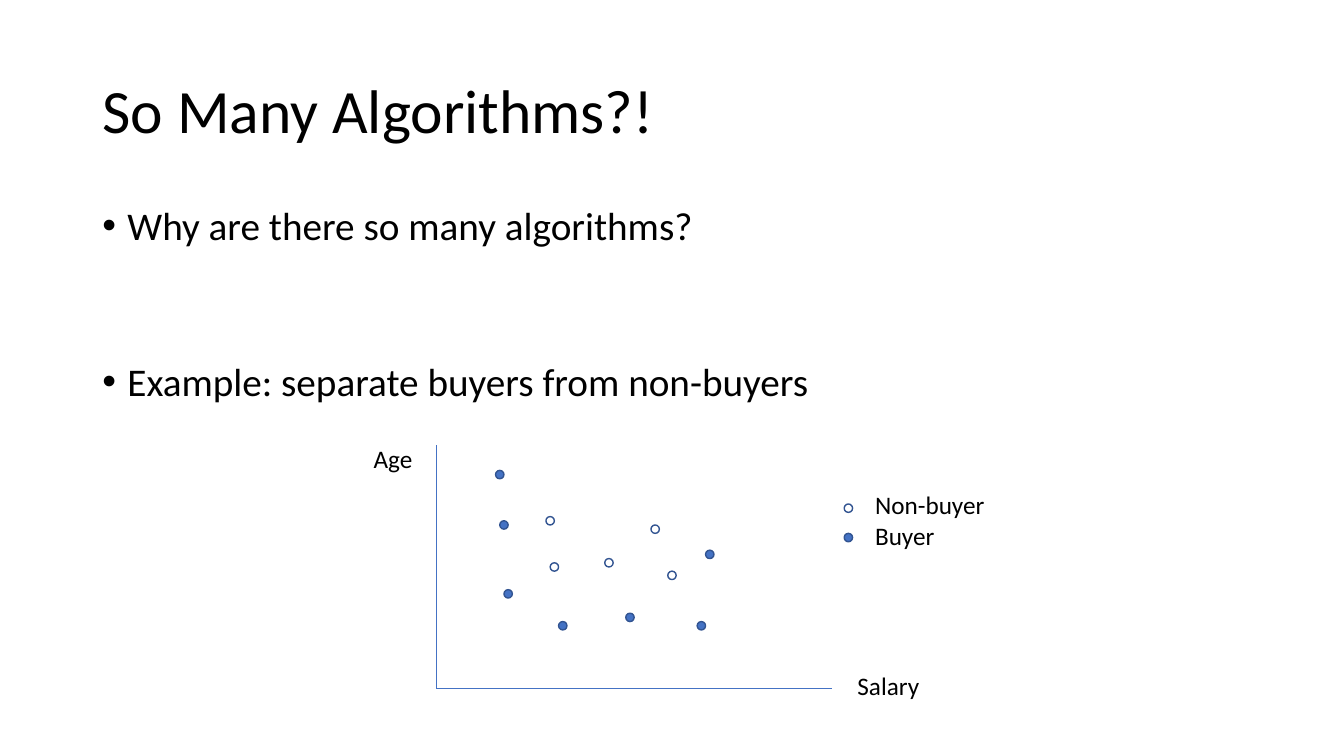
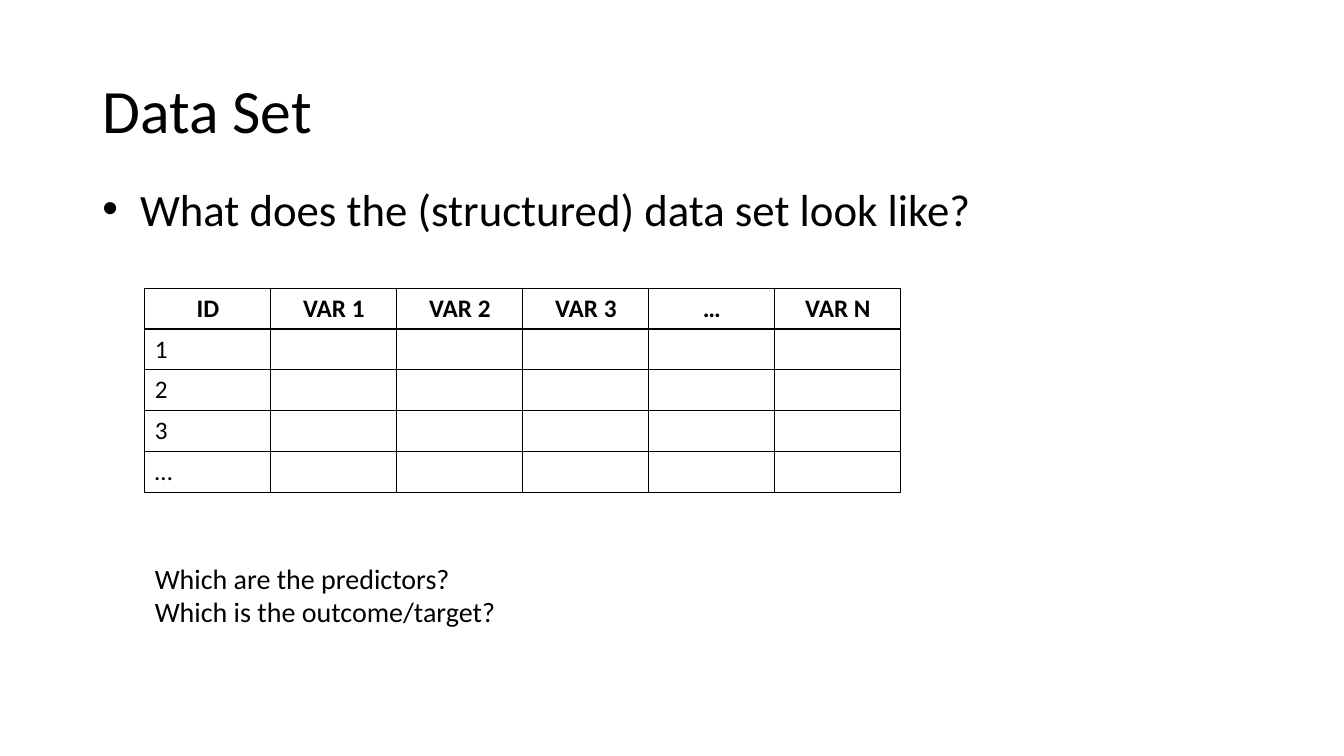
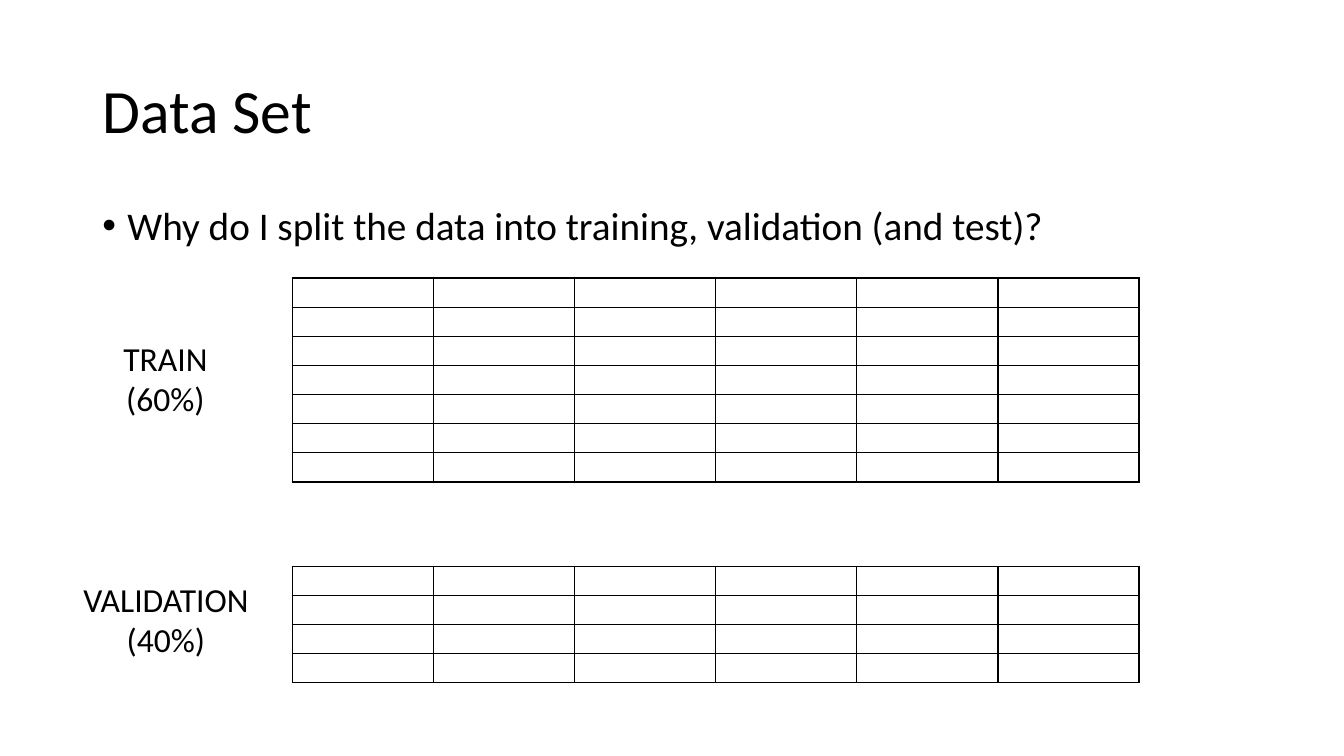
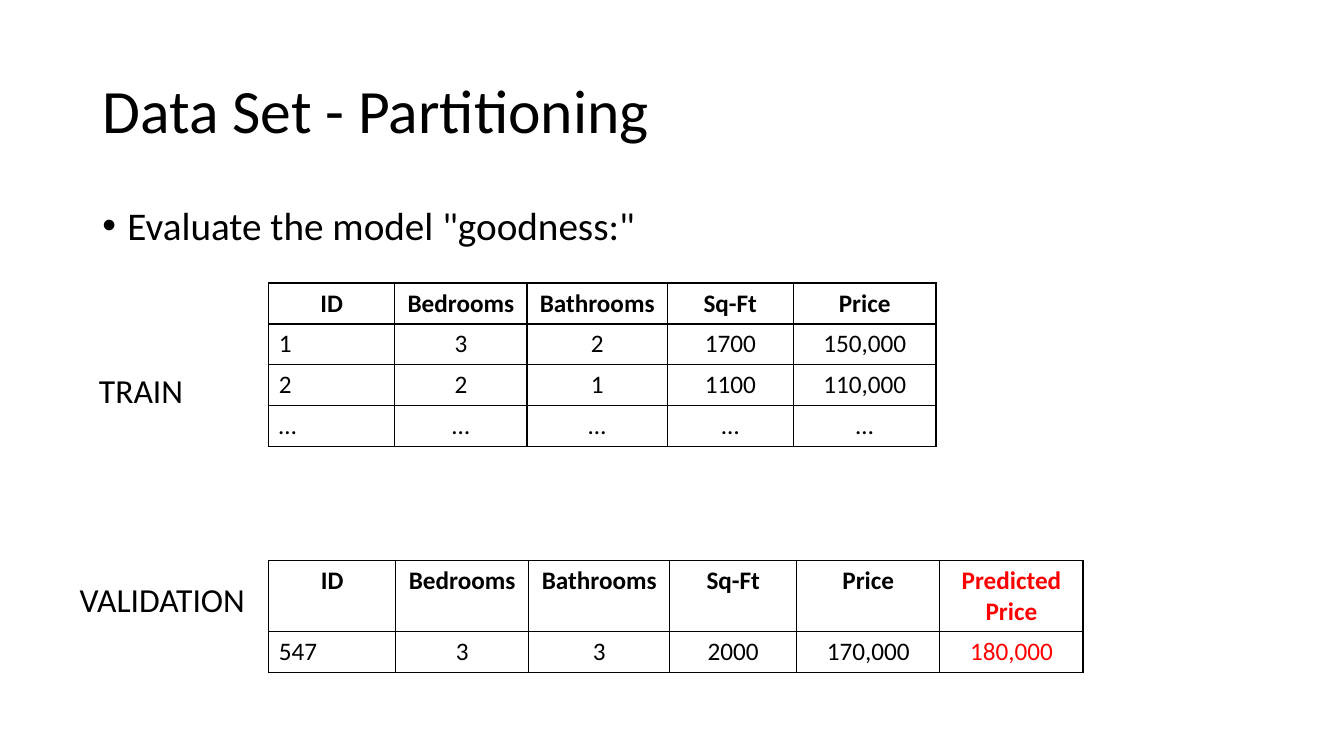
from dataclasses import dataclass

from lxml import etree
from pptx import Presentation
from pptx.dml.color import RGBColor
from pptx.enum.shapes import MSO_CONNECTOR, MSO_SHAPE
from pptx.enum.text import MSO_ANCHOR, MSO_AUTO_SIZE, PP_ALIGN
from pptx.oxml.ns import qn
from pptx.util import Emu, Inches, Pt

LEFT, CENTER = PP_ALIGN.LEFT, PP_ALIGN.CENTER
MIDDLE = MSO_ANCHOR.MIDDLE
NO_AUTOFIT = MSO_AUTO_SIZE.NONE
OVAL = MSO_SHAPE.OVAL
STRAIGHT = MSO_CONNECTOR.STRAIGHT

# The slide is a grid of 160 columns by 90 rows of square units.
COLUMNS, ROWS = 160, 90
UNIT = Inches(7.5) / ROWS

FONT = "Calibri"
BLACK, RED, BLUE, DARK_BLUE = "000000", "FF0000", "4472C4", "325491"
ROW = 4.87
SLIM_ROW = 3.47


@dataclass(frozen=True)
class Box:
    """A place on the grid, in columns and rows."""
    left: float
    top: float
    width: float
    height: float


@dataclass(frozen=True)
class Label:
    """A plain text with one paragraph per line."""
    lines: tuple[str, ...]
    box: Box
    size: float
    align: PP_ALIGN = LEFT


@dataclass(frozen=True)
class Bullet:
    """A bulleted paragraph; indent is in grid columns."""
    text: str
    size: float = 28
    indent: float = 3
    before: float = 10
    spacing: float = 0.9


@dataclass(frozen=True)
class Grid:
    """A bordered table; cells without text stay blank."""
    left: float
    top: float
    widths: tuple[float, ...]
    heights: tuple[float, ...]
    cells: tuple[tuple[str, ...], ...] = ()
    red_column: int | None = None


@dataclass(frozen=True)
class Dot:
    """A person in the scatter, filled for a buyer."""
    left: float
    top: float
    buyer: bool


BODY = Box(11, 24, 138, 57.1)
DOTS = (
    Dot(59, 56, True), Dot(59.5, 62, True), Dot(65, 61.5, False),
    Dot(65.5, 67, False), Dot(72, 66.5, False), Dot(77.5, 62.5, False),
    Dot(79.5, 68, False), Dot(74.5, 73, True), Dot(83, 74, True),
    Dot(84, 65.5, True), Dot(66.5, 74, True), Dot(60, 70.2, True),
    Dot(100.5, 60, False), Dot(100.5, 63.5, True),
)
SCATTER_LABELS = (
    Label(("Buyer",), Box(103, 61.3, 11, 4.8), 18),
    Label(("Non-buyer",), Box(103, 57.7, 18, 4.8), 18),
    Label(("Salary",), Box(100.9, 79.2, 11, 4.8), 18),
    Label(("Age",), Box(43.3, 52.2, 8.6, 4.8), 18),
)
HOUSE_HEADER = ("ID", "Bedrooms", "Bathrooms", "Sq-Ft", "Price")


def units(n: float) -> Emu:
    """Turn grid units into a length."""
    return Emu(round(n * UNIT))


def place(box: Box) -> tuple[Emu, Emu, Emu, Emu]:
    """Turn a box into left, top, width and height."""
    return units(box.left), units(box.top), units(box.width), units(box.height)


def rgb(value: str) -> RGBColor:
    """Turn a hex string into a colour."""
    return RGBColor.from_string(value)


def add_run(p, text: str, size: float, color: str = BLACK, bold: bool = False) -> None:
    """Add one formatted run to a paragraph."""
    r = p.add_run()
    r.text = text
    r.font.name = FONT
    r.font.size = Pt(size)
    r.font.bold = bold
    r.font.color.rgb = rgb(color)


def next_paragraph(tf, index: int):
    """Return the first paragraph of a frame, or a new one after it."""
    return tf.add_paragraph() if index else tf.paragraphs[0]


def add_text_frame(s, box: Box):
    """Add a wrapping text box and return its frame."""
    tf = s.shapes.add_textbox(*place(box)).text_frame
    tf.word_wrap = True
    return tf


def new_slide(prs, title: str):
    """Add a title-only slide and style its title."""
    s = prs.slides.add_slide(prs.slide_layouts[5])
    sp = s.shapes.title
    sp.left, sp.top, sp.width, sp.height = place(Box(11, 4.8, 138, 17.4))
    tf = sp.text_frame
    tf.auto_size = NO_AUTOFIT
    tf.vertical_anchor = MIDDLE
    p = tf.paragraphs[0]
    p.alignment = LEFT
    p.line_spacing = 0.9
    add_run(p, title, 44)
    return s


def add_bullets(s, bullets: tuple[Bullet, ...], box: Box = BODY) -> None:
    """Add a text box of bulleted paragraphs."""
    tf = add_text_frame(s, box)
    for i, bullet in enumerate(bullets):
        p = next_paragraph(tf, i)
        p.line_spacing = bullet.spacing
        p.space_before = Pt(bullet.before)
        props = p._p.get_or_add_pPr()
        props.set("marL", str(units(bullet.indent)))
        props.set("indent", str(-units(bullet.indent)))
        etree.SubElement(props, qn("a:buFont"), typeface="Arial")
        etree.SubElement(props, qn("a:buChar"), char="•")
        add_run(p, bullet.text, bullet.size)


def add_label(s, label: Label) -> None:
    """Add a plain text box."""
    tf = add_text_frame(s, label.box)
    for i, line in enumerate(label.lines):
        p = next_paragraph(tf, i)
        p.alignment = label.align
        add_run(p, line, label.size)


def add_axis(s, x1: float, y1: float, x2: float, y2: float) -> None:
    """Add a thin axis line without a shadow."""
    line = s.shapes.add_connector(STRAIGHT, units(x1), units(y1), units(x2), units(y2))
    line.line.color.rgb = rgb(BLUE)
    line.line.width = Pt(0.5)
    etree.SubElement(line._element.spPr, qn("a:effectLst"))


def add_dot(s, dot: Dot) -> None:
    """Add one scatter dot."""
    sp = s.shapes.add_shape(OVAL, *place(Box(dot.left, dot.top, 1, 1)))
    sp.shadow.inherit = False
    if dot.buyer:
        sp.fill.solid()
        sp.fill.fore_color.rgb = rgb(BLUE)
    else:
        sp.fill.background()
    sp.line.color.rgb = rgb(DARK_BLUE)
    sp.line.width = Pt(1)


def style_cell(cell) -> None:
    """Give a cell four black borders and no fill."""
    props = cell._tc.get_or_add_tcPr()
    for side in ("lnL", "lnR", "lnT", "lnB"):
        ln = etree.SubElement(props, qn(f"a:{side}"), w=str(Pt(1)))
        fill = etree.SubElement(ln, qn("a:solidFill"))
        etree.SubElement(fill, qn("a:srgbClr"), val=BLACK)
    cell.fill.background()


def add_grid(s, grid: Grid) -> None:
    """Add a table with a bold header and a left-aligned first column."""
    box = Box(grid.left, grid.top, sum(grid.widths), sum(grid.heights))
    table = s.shapes.add_table(len(grid.heights), len(grid.widths), *place(box)).table
    table.first_row = table.horz_banding = False
    for column, width in zip(table.columns, grid.widths):
        column.width = units(width)
    for row, height in zip(table.rows, grid.heights):
        row.height = units(height)
    for i, row in enumerate(table.rows):
        texts = grid.cells[i] if i < len(grid.cells) else ()
        for j, cell in enumerate(row.cells):
            style_cell(cell)
            p = cell.text_frame.paragraphs[0]
            if j < len(texts):
                p.alignment = LEFT if i and not j else CENTER
                color = RED if j == grid.red_column else BLACK
                add_run(p, texts[j], 18, color, bold=i == 0)
            else:
                etree.SubElement(p._p, qn("a:endParaRPr"), sz="1000")


def build_algorithms(prs) -> None:
    """Slide with the buyer scatter."""
    s = new_slide(prs, "So Many Algorithms?!")
    add_bullets(s, (
        Bullet("Why are there so many algorithms?"),
        Bullet("Example: separate buyers from non-buyers", before=81),
    ))
    add_axis(s, 52, 53, 52, 82)
    add_axis(s, 99, 82, 52, 82)
    for dot in DOTS:
        add_dot(s, dot)
    for label in SCATTER_LABELS:
        add_label(s, label)


def build_structure(prs) -> None:
    """Slide with the layout of a data set."""
    s = new_slide(prs, "Data Set")
    header = ("ID", "VAR 1", "VAR 2", "VAR 3", "…", "VAR N")
    add_grid(s, Grid(17.25, 34.3, (15,) * 6, (ROW,) * 5,
                     (header, ("1",), ("2",), ("3",), ("…",))))
    add_label(s, Label(("Which are the predictors?", "Which is the outcome/target?"),
                       Box(17.25, 66.2, 48, 9.2), 20))
    add_bullets(s, (Bullet("What does the (structured) data set look like?",
                           size=32, indent=4.5, before=6, spacing=1),),
                Box(11, 21, 126, 59.4))


def build_split(prs) -> None:
    """Slide with the blank training and validation tables."""
    s = new_slide(prs, "Data Set")
    add_bullets(s, (Bullet("Why do I split the data into training, validation (and test)?"),))
    for top, count in ((33.1, 7), (67.4, 4)):
        add_grid(s, Grid(34.8, top, (16.8,) * 6, (SLIM_ROW,) * count))
    add_label(s, Label(("TRAIN", "(60%)"), Box(13.1, 39.6, 13.2, 10.9), 24, CENTER))
    add_label(s, Label(("VALIDATION", "(40%)"), Box(8.3, 68.3, 22.9, 10.9), 24, CENTER))


def build_partitioning(prs) -> None:
    """Slide with the house price tables."""
    s = new_slide(prs, "Data Set - Partitioning")
    add_bullets(s, (Bullet('Evaluate the model "goodness:"'),))
    add_grid(s, Grid(32, 33.7, (15, 15.75, 16.7, 15, 17), (ROW,) * 4, (
        HOUSE_HEADER,
        ("1", "3", "2", "1700", "150,000"),
        ("2", "2", "1", "1100", "110,000"),
        ("…",) * 5,
    )))
    add_grid(s, Grid(32, 66.7, (15.1, 15.85, 16.8, 15.1, 17.05, 17.05), (8.5, ROW), (
        HOUSE_HEADER + ("Predicted Price",),
        ("547", "3", "3", "2000", "170,000", "180,000"),
    ), red_column=5))
    add_label(s, Label(("TRAIN",), Box(10.6, 43.4, 13.2, 6), 24))
    add_label(s, Label(("VALIDATION",), Box(8.3, 68.3, 22.9, 6), 24))


def main() -> None:
    """Build and save the presentation."""
    prs = Presentation()
    prs.slide_width, prs.slide_height = units(COLUMNS), units(ROWS)
    for build in (build_algorithms, build_structure, build_split, build_partitioning):
        build(prs)
    prs.save("out.pptx")


main()
